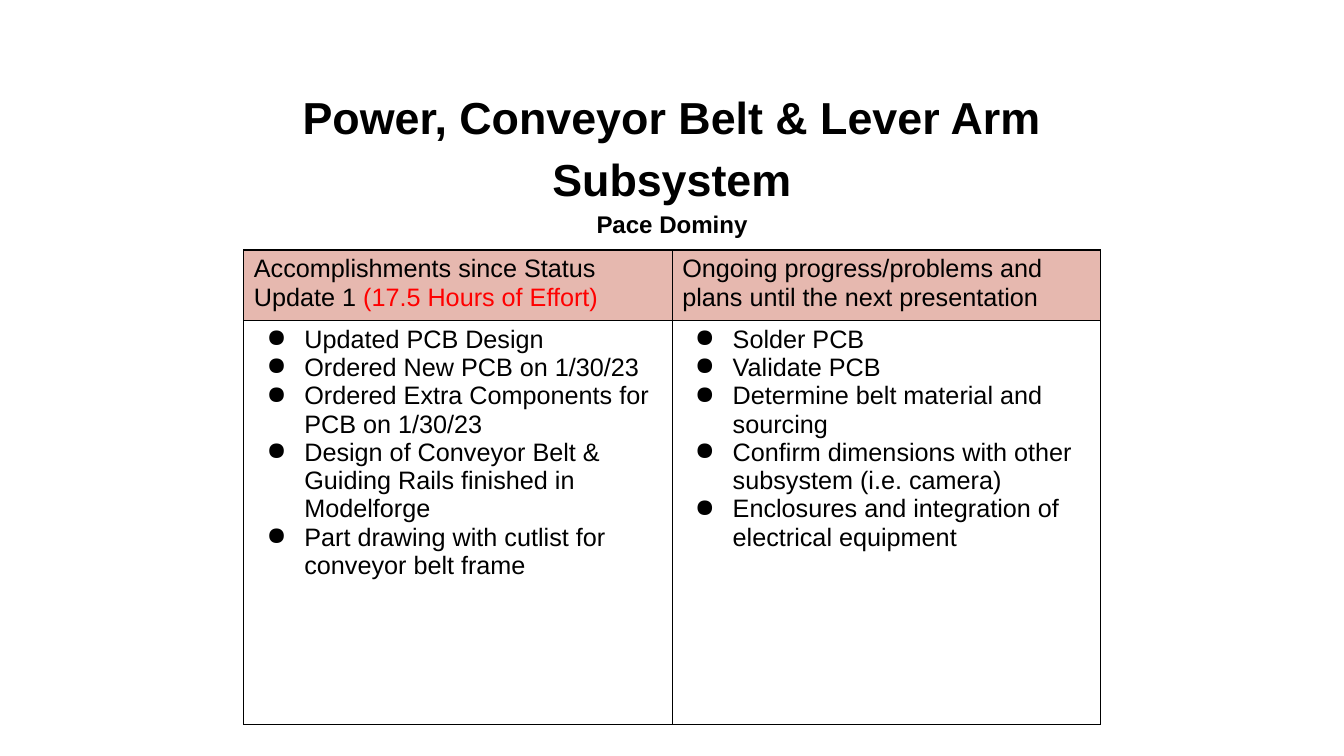
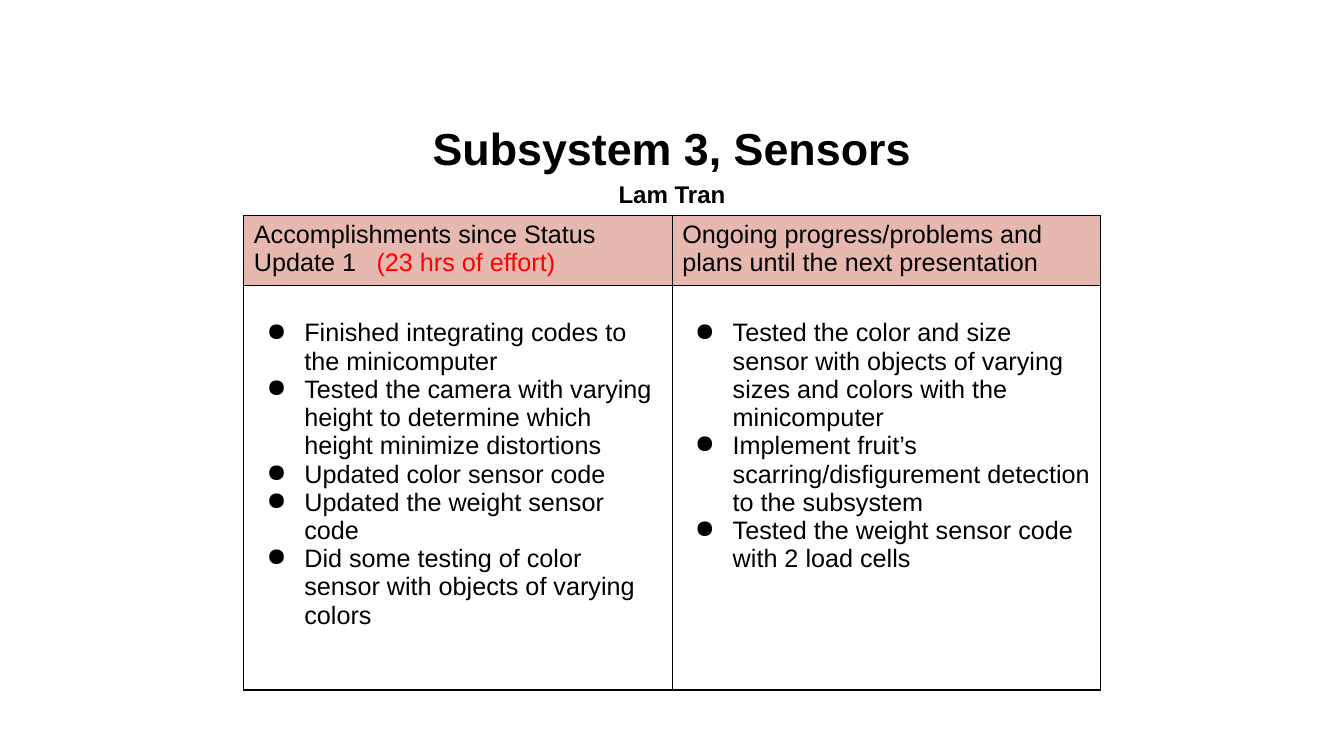
from lxml.etree import SubElement
from pptx import Presentation
from pptx.dml.color import RGBColor
from pptx.enum.text import MSO_ANCHOR, PP_ALIGN
from pptx.oxml import parse_xml
from pptx.oxml.ns import nsdecls, qn
from pptx.util import Pt

COLORS = {"text": "000000", "effort": "FF0000", "header": "E6B8AF", "border": "000000"}
FONT = "Arial"
TITLE_SIZE, NAME_SIZE, TABLE_SIZE = 32, 17.2, 18
SLIDE_WIDTH, SLIDE_HEIGHT = 960, 540
TITLE_WIDTH, TITLE_TOP, TITLE_HEIGHT = 648, 82.8, 63.4
COLUMN_WIDTH, BODY_HEIGHT = 306, 288.7
TABLE_LEFT = 174.2
CELL_TOP_MARGIN = 3.6
BULLET_MARGIN, BULLET_INDENT = 36, -27
EFFORT_TAB = 87.6

DONE_HEADING = "Accomplishments since Status Update 1"
NEXT_HEADING = "Ongoing progress/problems and plans until the next presentation"

UPDATES = [
    {
        "title": "Power, Conveyor Belt & Lever Arm Subsystem",
        "presenter": "Pace Dominy",
        "effort": " (17.5 Hours of Effort)",
        "table_top": 178.6,
        "header_height": 48,
        "list_offset": 0,
        "done": [
            "Updated PCB Design",
            "Ordered New PCB on 1/30/23",
            "Ordered Extra Components for PCB on 1/30/23",
            "Design of Conveyor Belt & Guiding Rails finished in Modelforge",
            "Part drawing with cutlist for conveyor belt frame",
        ],
        "next": [
            "Solder PCB",
            "Validate PCB",
            "Determine belt material and sourcing",
            "Confirm dimensions with other subsystem (i.e. camera)",
            "Enclosures and integration of electrical equipment",
        ],
    },
    {
        "title": "Subsystem 3, Sensors",
        "presenter": "Lam Tran",
        "effort": "\t(23 hrs of effort)",
        "table_top": 153.7,
        "header_height": 50.4,
        "list_offset": 20.2,
        "done": [
            "Finished integrating codes to the minicomputer",
            "Tested the camera with varying height to determine which height minimize distortions",
            "Updated color sensor code",
            "Updated the weight sensor code",
            "Did some testing of color sensor with objects of varying colors",
        ],
        "next": [
            "Tested the color and size sensor with objects of varying sizes and colors with the minicomputer",
            "Implement fruit’s scarring/disfigurement detection to the subsystem",
            "Tested the weight sensor code with 2 load cells",
        ],
    },
]


def add_run(paragraph, text, size=TABLE_SIZE, color="text", bold=False):
    run = paragraph.add_run()
    run.text = text
    run.font.name = FONT
    run.font.size = Pt(size)
    run.font.bold = bold
    run.font.color.rgb = RGBColor.from_string(COLORS[color])


def add_title(slide, title, presenter):
    left = (SLIDE_WIDTH - TITLE_WIDTH) / 2
    box = slide.shapes.add_textbox(Pt(left), Pt(TITLE_TOP), Pt(TITLE_WIDTH), Pt(TITLE_HEIGHT))
    frame = box.text_frame
    frame.word_wrap = True
    frame.vertical_anchor = MSO_ANCHOR.MIDDLE
    lines = [(frame.paragraphs[0], title, TITLE_SIZE), (frame.add_paragraph(), presenter, NAME_SIZE)]
    for paragraph, text, size in lines:
        paragraph.alignment = PP_ALIGN.CENTER
        paragraph.line_spacing = 1.15
        add_run(paragraph, text, size, bold=True)


def add_borders(cell):
    properties = cell._tc.get_or_add_tcPr()
    for position, side in enumerate(("lnL", "lnR", "lnT", "lnB")):
        border = parse_xml(
            f'<a:{side} {nsdecls("a")} w="{Pt(1)}"><a:solidFill>'
            f'<a:srgbClr val="{COLORS["border"]}"/></a:solidFill></a:{side}>'
        )
        properties.insert(position, border)


def add_heading(cell, text, effort):
    cell.fill.solid()
    cell.fill.fore_color.rgb = RGBColor.from_string(COLORS["header"])
    paragraph = cell.text_frame.paragraphs[0]
    add_run(paragraph, text)
    if effort:
        tabs = SubElement(paragraph._p.get_or_add_pPr(), qn("a:tabLst"))
        SubElement(tabs, qn("a:tab"), pos=str(Pt(EFFORT_TAB)), algn="l")
        add_run(paragraph, effort, color="effort")


def add_bullets(cell, items, offset):
    cell.fill.background()
    cell.margin_top = Pt(CELL_TOP_MARGIN + offset)
    frame = cell.text_frame
    for index, item in enumerate(items):
        paragraph = frame.add_paragraph() if index else frame.paragraphs[0]
        properties = paragraph._p.get_or_add_pPr()
        properties.set("marL", str(Pt(BULLET_MARGIN)))
        properties.set("indent", str(Pt(BULLET_INDENT)))
        bullet_color = SubElement(properties, qn("a:buClr"))
        SubElement(bullet_color, qn("a:srgbClr"), val=COLORS["text"])
        SubElement(properties, qn("a:buChar"), char="●")
        add_run(paragraph, item)


def add_status_table(slide, update):
    heights = (update["header_height"], BODY_HEIGHT)
    table = slide.shapes.add_table(
        2, 2, Pt(TABLE_LEFT), Pt(update["table_top"]), Pt(2 * COLUMN_WIDTH), Pt(sum(heights))
    ).table
    table.first_row = table.horz_banding = False
    for row, height in zip(table.rows, heights):
        row.height = Pt(height)
    columns = [(DONE_HEADING, update["effort"], update["done"]), (NEXT_HEADING, "", update["next"])]
    for index, (heading, effort, items) in enumerate(columns):
        table.columns[index].width = Pt(COLUMN_WIDTH)
        add_heading(table.cell(0, index), heading, effort)
        add_bullets(table.cell(1, index), items, update["list_offset"])
    for cell in table.iter_cells():
        add_borders(cell)


def main():
    deck = Presentation()
    deck.slide_width, deck.slide_height = Pt(SLIDE_WIDTH), Pt(SLIDE_HEIGHT)
    for update in UPDATES:
        slide = deck.slides.add_slide(deck.slide_layouts[6])
        add_title(slide, update["title"], update["presenter"])
        add_status_table(slide, update)
    deck.save("out.pptx")


if __name__ == "__main__":
    main()
